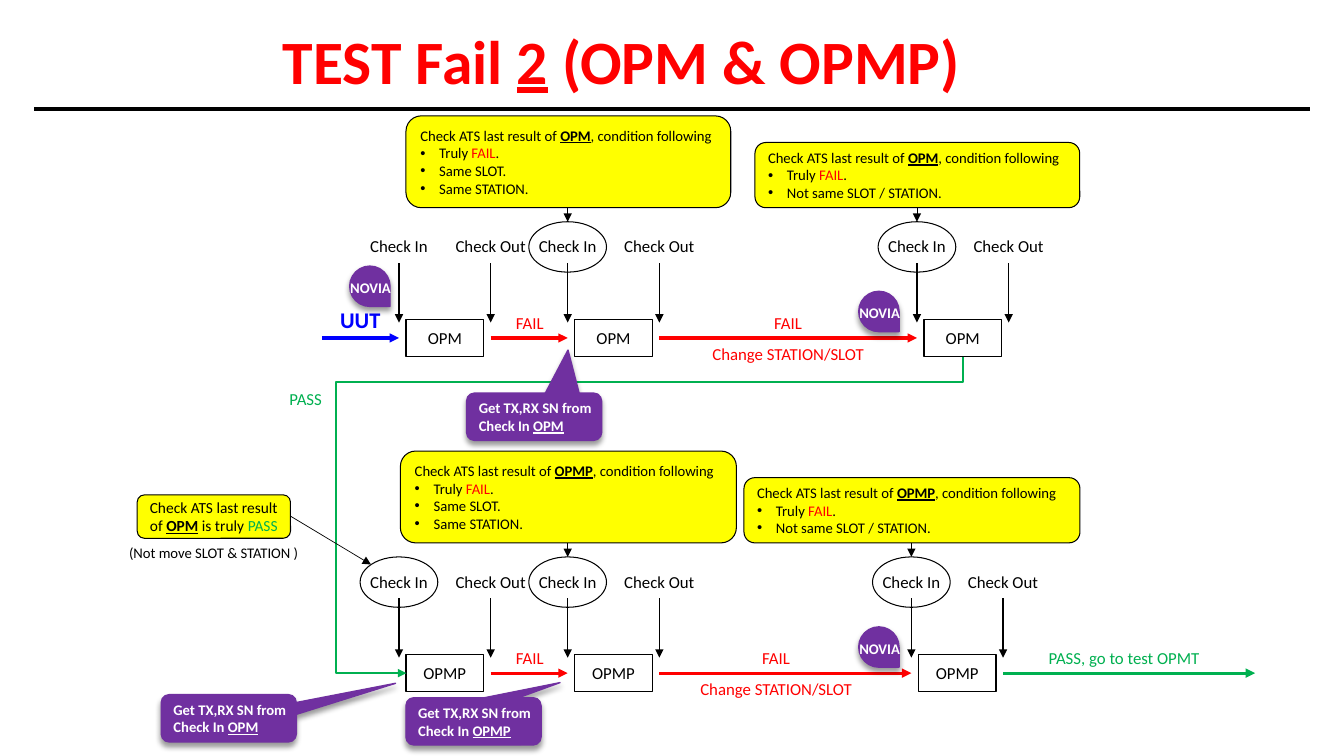
from dataclasses import dataclass

from lxml import etree
from pptx import Presentation
from pptx.dml.color import RGBColor
from pptx.enum import shapes as sh, text as tx
from pptx.oxml.ns import qn
from pptx.util import Pt


@dataclass(frozen=True)
class Theme:
    font: str = "Calibri"
    black: str = "000000"
    white: str = "FFFFFF"
    red: str = "FF0000"
    green: str = "00B050"
    blue: str = "0000FF"
    yellow: str = "FFFF00"
    purple: str = "7030A0"
    title: float = 44
    unit: float = 16
    label: float = 12
    check: float = 11
    note: float = 10.5


T = Theme()
KIND = sh.MSO_SHAPE
MID, LEFT = tx.PP_ALIGN.CENTER, tx.PP_ALIGN.LEFT
BRAND = "NOVIA"
GAP = 65.5  # from a check in to its check out


# Text
def write(frame, paras, size, align=MID, wrap=True, bullets=False):
    """Each paragraph is a list of (words, colour, style); style holds b and u."""
    frame.word_wrap = wrap
    frame.auto_size = tx.MSO_AUTO_SIZE.NONE
    frame.vertical_anchor = tx.MSO_ANCHOR.MIDDLE
    for i, runs in enumerate(paras):
        para = frame.add_paragraph() if i else frame.paragraphs[0]
        para.alignment = align
        if bullets and i:
            props = para._p.get_or_add_pPr()
            props.set("marL", str(Pt(13.5)))
            props.set("indent", str(-Pt(13.5)))
            etree.SubElement(props, qn("a:buFont"), typeface="Arial")
            etree.SubElement(props, qn("a:buChar"), char="•")
        for words, color, style in runs:
            run = para.add_run()
            run.text = words
            font = run.font
            font.name, font.size = T.font, Pt(size)
            font.bold, font.underline = "b" in style, "u" in style
            font.color.rgb = RGBColor.from_string(color)


def label(slide, x, y, words, color=T.black, size=T.label, style="", wide=124):
    high = size * 1.2 + 7.2
    box = slide.shapes.add_textbox(Pt(x - wide / 2), Pt(y - high / 2), Pt(wide), Pt(high))
    write(box.text_frame, [[(words, color, style)]], size, wrap=False)


# Shapes and lines
def shape(slide, kind, x, y, wide, high, fill=None, line=T.black, width=1):
    item = slide.shapes.add_shape(kind, Pt(x), Pt(y), Pt(wide), Pt(high))
    item.shadow.inherit = False
    if fill:
        item.fill.solid()
        item.fill.fore_color.rgb = RGBColor.from_string(fill)
    else:
        item.fill.background()
    item.line.color.rgb = RGBColor.from_string(line)
    item.line.width = Pt(width)
    return item


def shade(item):
    effects = item._element.spPr.find(qn("a:effectLst"))
    outer = etree.SubElement(effects, qn("a:outerShdw"), blurRad=str(Pt(4)),
                             dist=str(Pt(3)), dir="5400000", rotWithShape="0")
    color = etree.SubElement(outer, qn("a:srgbClr"), val=T.black)
    etree.SubElement(color, qn("a:alpha"), val="40000")


def link(slide, x1, y1, x2, y2, color=T.black, width=1, head=True,
         kind=sh.MSO_CONNECTOR.STRAIGHT):
    line = slide.shapes.add_connector(kind, Pt(x1), Pt(y1), Pt(x2), Pt(y2))
    line.line.color.rgb = RGBColor.from_string(color)
    line.line.width = Pt(width)
    if head:
        etree.SubElement(line.line._get_or_add_ln(), qn("a:tailEnd"), type="triangle")
    etree.SubElement(line._element.spPr, qn("a:effectLst"))
    return line


def detour(slide, x1, y1, x2, y2, color):
    """Elbow that goes down, left past the end, down again and back right."""
    x, y = (x1 + x2) / 2, (y1 + y2) / 2
    wide, high = y2 - y1, x1 - x2
    line = link(slide, x - wide / 2, y - high / 2, x + wide / 2, y + high / 2,
                color, 1.5, kind=sh.MSO_CONNECTOR.ELBOW)
    props = line._element.spPr
    props.find(qn("a:xfrm")).set("rot", "5400000")
    geom = props.find(qn("a:prstGeom"))
    geom.set("prst", "bentConnector4")
    guides = geom.find(qn("a:avLst"))
    for name, value in (("adj1", 7900), ("adj2", 112700)):
        etree.SubElement(guides, qn("a:gd"), name=name, fmla=f"val {value}")


# Parts of the flow
def stage(slide, x, axis, name, ring):
    box = shape(slide, KIND.RECTANGLE, x + 5, axis - 13.3, 55.5, 26.6, T.white)
    write(box.text_frame, [[(name, T.black, "")]], T.label, wrap=False)
    for spot, words in ((x, "Check In"), (x + GAP, "Check Out")):
        link(slide, spot, axis - 53.5, spot, axis - 11)
        label(slide, spot, axis - 65.5, words, wide=66)
    if ring:
        shape(slide, KIND.OVAL, x - 27.75, axis - 83, 55.5, 36, width=0.75)


def rule(slide, x, axis, stop, wide, name, items):
    high = 27.6 + 19 * len(items) / 1 if len(items) == 1 else 8.6 + 19 * (len(items) + 1) - 19
    high = {2: 46.6, 3: 65.6}[len(items)]
    box = shape(slide, KIND.ROUNDED_RECTANGLE, x, axis - 93 - high, wide, high,
                T.yellow, width=0.75)
    first = [("Check ATS last result of ", T.black, ""), (name, T.black, "bu"),
             (", condition following", T.black, "")]
    write(box.text_frame, [first] + items, T.note, LEFT, bullets=True)
    link(slide, stop, axis - 93, stop, axis - 83, width=0.5)


def badge(slide, x, y):
    drop = shape(slide, KIND.TEAR, x - 14.4, y - 14.4, 28.8, 28.8, T.purple, T.purple)
    drop.rotation = 90
    shade(drop)
    label(slide, x + 0.5, y + 0.8, BRAND, T.white, T.note, "b", 40)


def callout(slide, x, y, name, tip):
    box = shape(slide, KIND.ROUNDED_RECTANGULAR_CALLOUT, x, y, 96.5, 33.8,
                T.purple, T.purple)
    for i, value in enumerate((*tip, 0.167)):
        box.adjustments[i] = value
    shade(box)
    box.text_frame.margin_right = 0
    write(box.text_frame, [[("Get TX,RX SN from", T.white, "b")],
                           [("Check In ", T.white, "b"), (name, T.white, "bu")]],
          T.note, LEFT)


def flow(slide, axis, name, stops, rings, mid, rules):
    """One row: three stages, the failed moves between them and their rules."""
    for x, ring in zip(stops, rings):
        stage(slide, x, axis, name, ring)
    for start, end, x in zip(stops, stops[1:], (378.5, mid)):
        link(slide, start + GAP, axis, end, axis, T.red, 2.25)
        label(slide, x, axis - 11, "FAIL", T.red, wide=36)
    label(slide, mid, axis + 11, "Change STATION/SLOT", T.red)
    truly = [("Truly ", T.black, ""), ("FAIL", T.red, ""), (".", T.black, "")]
    same = [[(f"Same {word}.", T.black, "")] for word in ("SLOT", "STATION")]
    other = [[("Not same SLOT / STATION.", T.black, "")]]
    for (x, wide), stop, more in zip(rules, stops[1:], (same, other)):
        rule(slide, x, axis, stop, wide, name, [truly] + more)


def main():
    deck = Presentation()
    deck.slide_width, deck.slide_height = Pt(960), Pt(540)
    slide = deck.slides.add_slide(deck.slide_layouts[5])

    # Title
    title = slide.shapes.title
    title.left, title.top, title.width, title.height = Pt(192), Pt(12.2), Pt(504), Pt(60.5)
    write(title.text_frame, [[("TEST Fail ", T.red, "b"), ("2", T.red, "bu"),
                              (" (OPM & OPMP)", T.red, "b")]], T.title, wrap=False)
    link(slide, 24.5, 77.8, 936, 77.8, width=2.5, head=False)

    # Two test rows
    top, low = 241.4, 480.8
    flow(slide, top, "OPM", (285, 405.5, 655), (False, True, True), 563,
         ((290, 232), (539.3, 232)))
    flow(slide, low, "OPMP", (285, 405.5, 651), (True, True, True), 554.4,
         ((286, 240), (531.4, 240)))

    # Way in, between the rows and out
    link(slide, 230, top, 285, top, T.blue, 2.25)
    label(slide, 257.4, 228, "UUT", T.blue, T.unit, "b", 44)
    detour(slide, 687.6, 254.8, 290.2, low, T.green)
    label(slide, 218.3, 285, "PASS", T.green, wide=38)
    link(slide, 716.5, low, 896.5, low, T.green, 2.25)
    label(slide, 803, low - 11, "PASS, go to test OPMT", T.green)

    # Check before the second row
    check = shape(slide, KIND.ROUNDED_RECTANGLE, 98, 353.5, 109.5, 31, T.yellow, width=0.75)
    check.text_frame.margin_left = check.text_frame.margin_right = Pt(5)
    write(check.text_frame, [[("Check ATS last result of ", T.black, ""), ("OPM", T.black, "bu"),
                              (" is truly ", T.black, ""), ("PASS", T.green, "")]], T.check)
    link(slide, 207.5, 368.7, 265, 403.2, width=0.5)
    label(slide, 152.6, 394.5, "(Not move SLOT & STATION )", size=T.note, wide=145)

    # Badges and callouts
    for x, y in ((264.2, 204.5), (627.8, 222.5), (627.8, 462.2)):
        badge(slide, x, y)
    for x, y, name, tip in ((333.3, 280.8, "OPM", (0.251, -1.41)),
                            (115.2, 496.2, "OPM", (1.235, -0.74)),
                            (290, 498.4, "OPMP", (0.641, -0.819))):
        callout(slide, x, y, name, tip)

    deck.save("out.pptx")


if __name__ == "__main__":
    main()
